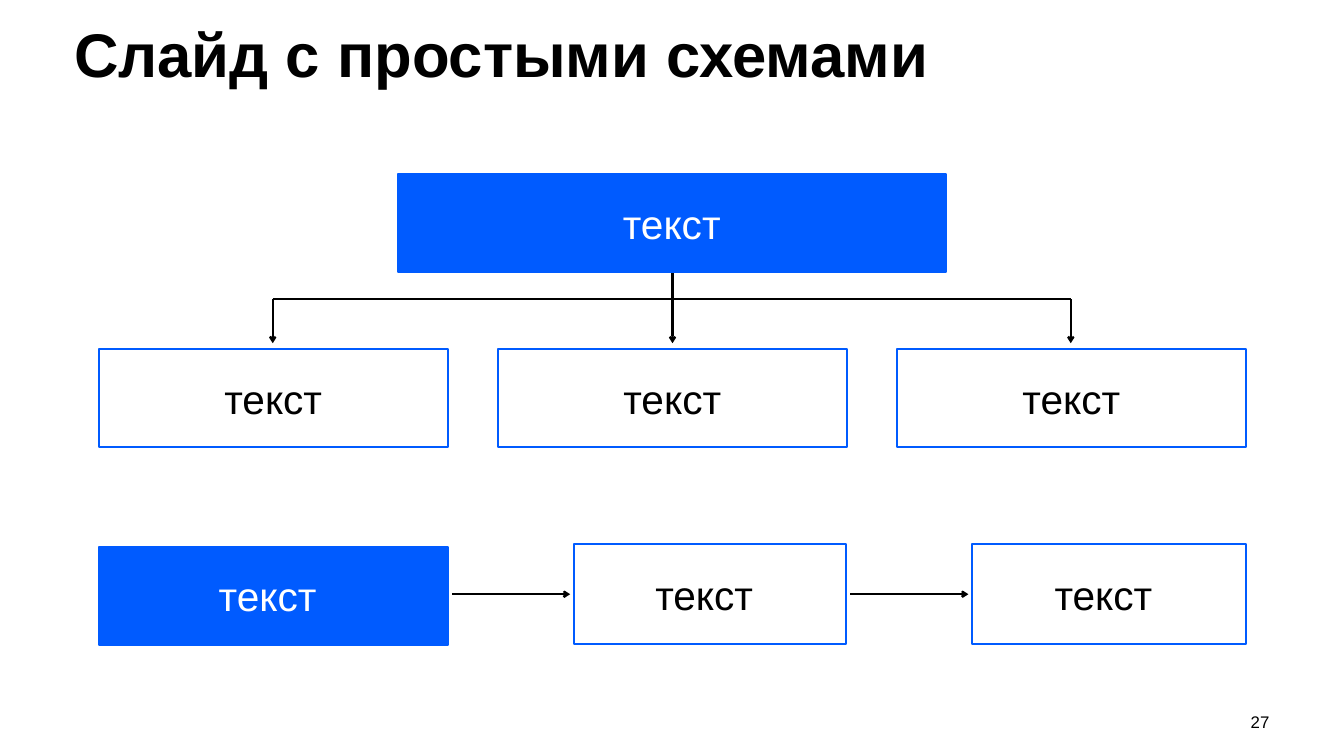
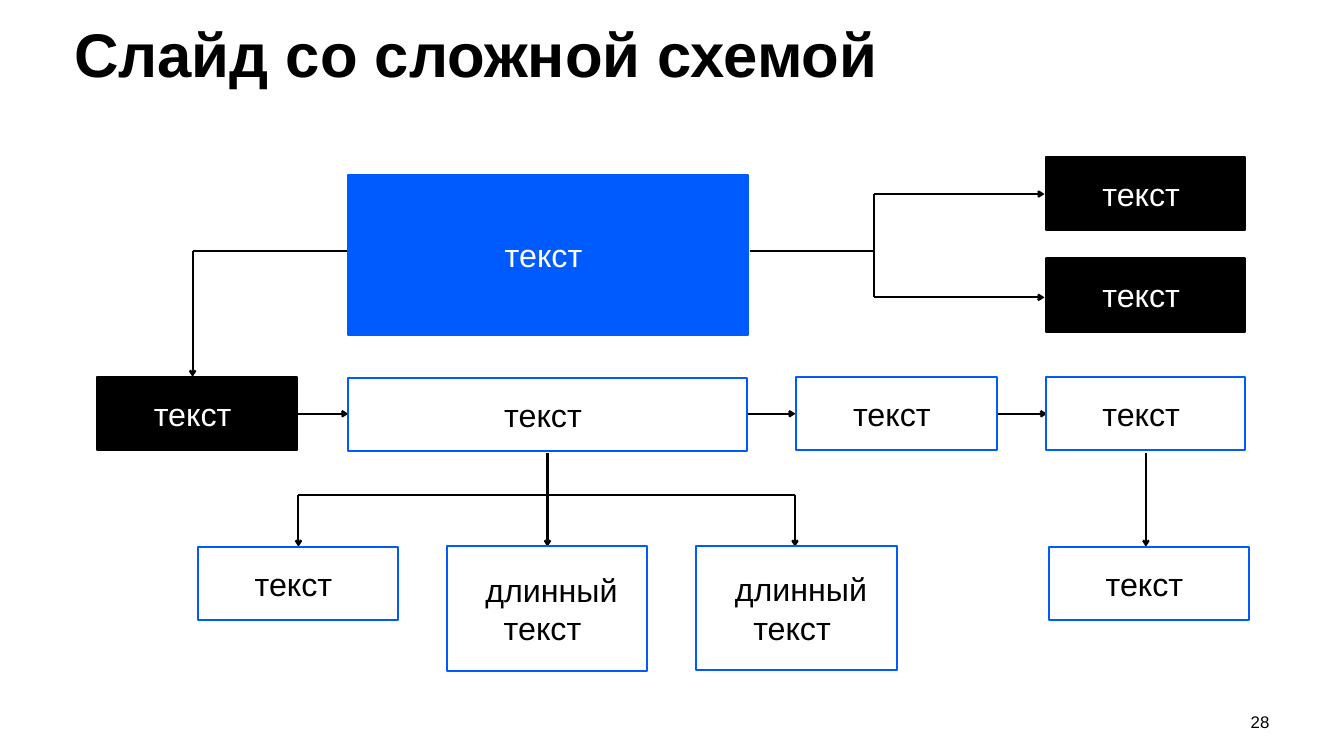
from dataclasses import dataclass
from typing import Optional

import pptx
import pptx.dml.color
import pptx.enum.shapes
import pptx.enum.text
import pptx.oxml.ns
import pptx.util
from lxml import etree

Inches = pptx.util.Inches
Pt = pptx.util.Pt
RGBColor = pptx.dml.color.RGBColor
Align = pptx.enum.text.PP_ALIGN
Anchor = pptx.enum.text.MSO_ANCHOR

BLUE = RGBColor(0x00, 0x5B, 0xFF)
BLACK = RGBColor(0x00, 0x00, 0x00)
WHITE = RGBColor(0xFF, 0xFF, 0xFF)
FONT = "Arial"
STROKE = Pt(3)
WORD = "текст "
LONG = " длинный текст "


@dataclass
class Box:
    left: float
    top: float
    width: float
    height: float
    text: str = WORD
    fill: Optional[RGBColor] = None


@dataclass
class Link:
    x1: float
    y1: float
    x2: float
    y2: float
    arrow: bool = True


def add_run(para, text: str, size: float, color: RGBColor, bold: bool = False) -> None:
    run = para.add_run()
    run.text = text
    font = run.font
    font.name = FONT
    font.size = Pt(size)
    font.bold = bold
    font.color.rgb = color


def add_label(slide, box: Box, size: float, bold: bool = False, foot: float = 0):
    """Place a text box without side margins and return its frame."""
    label = slide.shapes.add_textbox(
        Inches(box.left), Inches(box.top), Inches(box.width), Inches(box.height))
    frame = label.text_frame
    frame.word_wrap = True
    frame.margin_left = frame.margin_right = frame.margin_top = 0
    frame.margin_bottom = Inches(foot)
    add_run(frame.paragraphs[0], box.text, size, BLACK, bold)
    return frame


def add_box(slide, box: Box, size: float) -> None:
    shape = slide.shapes.add_shape(
        pptx.enum.shapes.MSO_SHAPE.RECTANGLE,
        Inches(box.left), Inches(box.top), Inches(box.width), Inches(box.height))
    shape.shadow.inherit = False
    if box.fill is None:
        shape.fill.background()
    else:
        shape.fill.solid()
        shape.fill.fore_color.rgb = box.fill
    shape.line.color.rgb = box.fill or BLUE
    shape.line.width = STROKE
    frame = shape.text_frame
    frame.word_wrap = True
    frame.vertical_anchor = Anchor.MIDDLE
    para = frame.paragraphs[0]
    para.alignment = Align.CENTER
    add_run(para, box.text, size, BLACK if box.fill is None else WHITE)


def add_link(slide, link: Link) -> None:
    line = slide.shapes.add_connector(
        pptx.enum.shapes.MSO_CONNECTOR.STRAIGHT,
        Inches(link.x1), Inches(link.y1), Inches(link.x2), Inches(link.y2))
    line.line.color.rgb = BLACK
    line.line.width = STROKE
    qn = pptx.oxml.ns.qn
    if link.arrow:
        etree.SubElement(line.line._get_or_add_ln(), qn("a:tailEnd"), type="arrow")
    etree.SubElement(line._element.spPr, qn("a:effectLst"))


def fork(xs: list[float], start: float, bar: float, end: float) -> list[Link]:
    """Branch from the middle column down to every column."""
    left, mid, right = xs
    return [
        Link(left, bar, right, bar, False),
        Link(mid, start, mid, end),
        Link(left, bar, left, end),
        Link(right, bar, right, end),
    ]


def add_page(deck, title: str, number: int, size: float,
             links: list[Link], boxes: list[Box]) -> None:
    slide = deck.slides.add_slide(deck.slide_layouts[6])
    head = add_label(slide, Box(1.47, 0.49, 23.7, 2.4, title), 88, True, 0.39)
    head.paragraphs[0].line_spacing = 0.9
    foot = add_label(slide, Box(23.19, 14.04, 1.99, 0.48, str(number)), 24)
    foot.vertical_anchor = Anchor.BOTTOM
    foot.paragraphs[0].alignment = Align.RIGHT
    for link in links:
        add_link(slide, link)
    for box in boxes:
        add_box(slide, box, size)


def add_simple(deck) -> None:
    # Tree: one parent over three equal children
    links = fork([5.41, 13.34, 21.24], 5.21, 5.94, 6.81)
    boxes = [Box(7.89, 3.45, 10.87, 1.95, "текст", BLUE)]
    boxes += [Box(1.96 + 7.915 * col, 6.93, 6.92, 1.94, "текст") for col in range(3)]
    # Chain: three steps in a row
    links += [Link(x, 11.79, x + 2.34, 11.79) for x in (8.97, 16.87)]
    boxes += [
        Box(1.96, 10.85, 6.92, 1.94, fill=BLUE),
        Box(11.38, 10.79, 5.4, 1.99),
        Box(19.28, 10.79, 5.44, 1.99),
    ]
    add_page(deck, "Слайд с простыми схемами", 27, 58, links, boxes)


def add_complex(deck) -> None:
    wide, tall = 3.98, 1.45
    row, low = 7.48, 10.85
    side = 20.75
    # Main block with its left and right branches
    links = [
        Link(3.82, 4.98, 10.86, 4.98, False),
        Link(3.82, 4.98, 3.82, row),
        Link(14.87, 4.98, 17.33, 4.98, False),
        Link(17.33, 3.85, 17.33, 5.9, False),
    ]
    links += [Link(17.33, y, 20.72, y) for y in (3.85, 5.9)]
    boxes = [Box(6.91, 3.47, 7.92, 3.18, fill=BLUE)]
    boxes += [Box(side, top, 3.95, tall, fill=BLACK) for top in (3.12, 5.13)]
    # Middle row
    links += [Link(x, 8.21, x + 0.99, 8.21) for x in (5.92, 14.79, 19.78)]
    boxes += [
        Box(1.92, row, wide, tall, fill=BLACK),
        Box(6.91, 7.5, 7.9, tall),
        Box(15.79, row, wide, tall),
        Box(side, row, 3.95, tall),
    ]
    # Lower row
    links += fork([5.92, 10.86, 15.77], 8.99, 9.82, low)
    links.append(Link(22.73, 8.98, 22.73, low))
    boxes += [
        Box(3.92, low, wide, tall),
        Box(8.86, 10.83, wide, 2.49, LONG),
        Box(13.81, 10.84, wide, 2.46, LONG),
        Box(20.8, low, wide, tall),
    ]
    add_page(deck, "Слайд со сложной схемой", 28, 46, links, boxes)


def main() -> None:
    deck = pptx.Presentation()
    deck.slide_width = Inches(26.66)
    deck.slide_height = Inches(15)
    add_simple(deck)
    add_complex(deck)
    deck.save("out.pptx")


if __name__ == "__main__":
    main()
